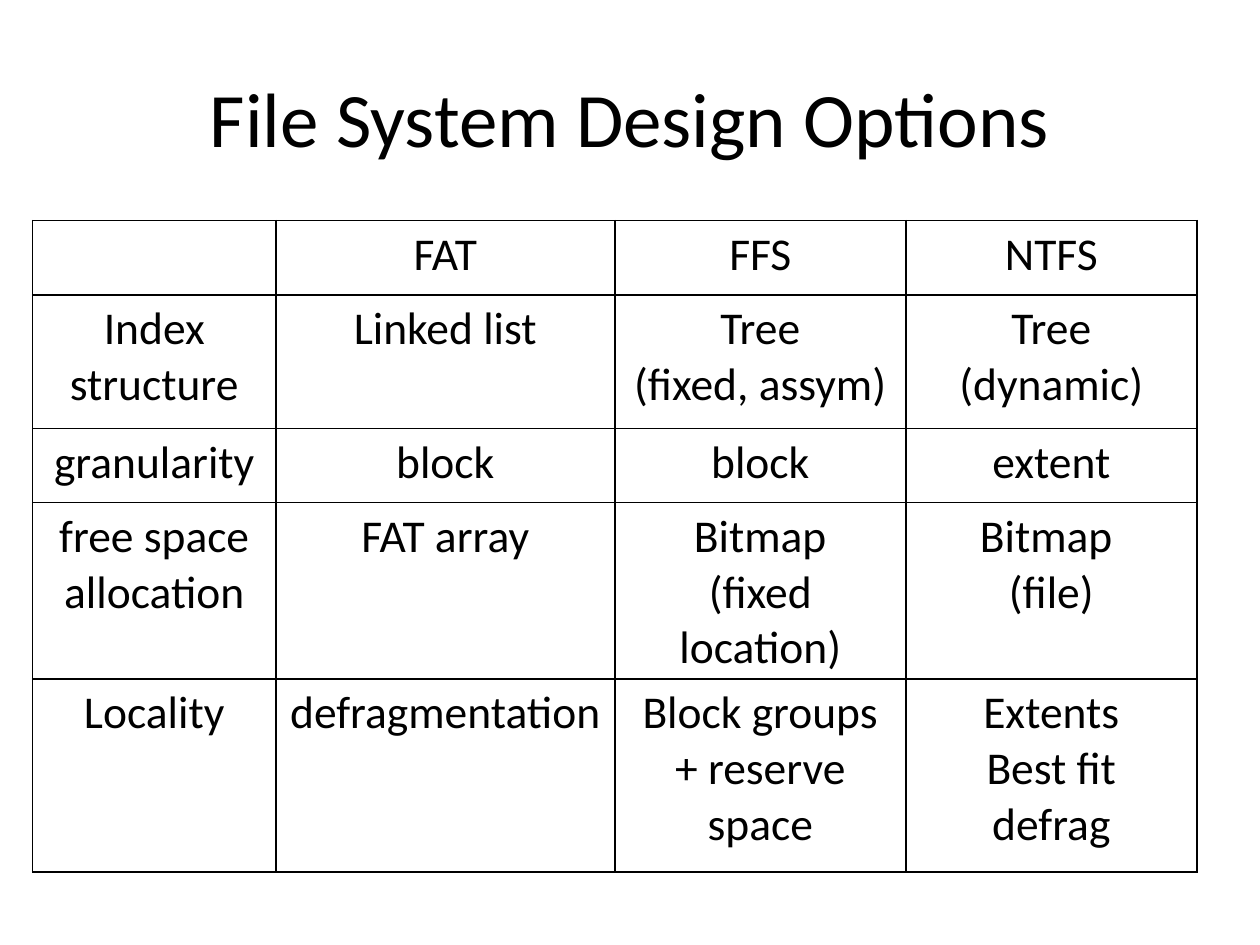
import pptx
import pptx.dml.color
import pptx.enum.text
import pptx.oxml
import pptx.oxml.ns
import pptx.util
from dataclasses import dataclass

Inches = pptx.util.Inches
Pt = pptx.util.Pt


@dataclass(frozen=True)
class Theme:
    font: str = "Calibri"
    ink: str = "000000"
    paper: str = "FFFFFF"
    title_size: int = 44
    cell_size: int = 26
    border: int = 1


THEME = Theme()

COLUMN_WIDTHS = [1.93, 2.69, 2.31, 2.31]
ROW_HEIGHTS = [0.59, 1.06, 0.59, 1.06, 1.53]

# Each line break starts a new paragraph
OPTIONS = [
    ["", "FAT", "FFS", "NTFS"],
    ["Index structure", "Linked list", "Tree\n(fixed, assym)", "Tree\n(dynamic)"],
    ["granularity", "block", "block", "extent"],
    ["free space\nallocation", "FAT array", "Bitmap\n(fixed location)", "Bitmap \n(file)"],
    ["Locality", "defragmentation", "Block groups + reserve space",
     "Extents\nBest fit\ndefrag"],
]


def rgb(value):
    return pptx.dml.color.RGBColor.from_string(value)


def write_text(tf, text, *, size, color=THEME.ink, font=THEME.font,
               align=pptx.enum.text.PP_ALIGN.CENTER):
    tf.word_wrap = True
    for i, line in enumerate(text.split("\n")):
        p = tf.paragraphs[0] if i == 0 else tf.add_paragraph()
        p.alignment = align
        r = p.add_run()
        r.text = line
        r.font.name = font
        r.font.size = Pt(size)
        r.font.color.rgb = rgb(color)


def add_title(s, text):
    sp = s.shapes.add_textbox(Inches(0.5), Inches(0.3), Inches(9), Inches(1.25))
    tf = sp.text_frame
    write_text(tf, text, size=THEME.title_size)
    tf.vertical_anchor = pptx.enum.text.MSO_ANCHOR.MIDDLE


def set_borders(cell):
    tc_pr = cell._tc.get_or_add_tcPr()
    for i, side in enumerate(("lnL", "lnR", "lnT", "lnB")):
        # Border lines must come before the cell fill
        tc_pr.insert(i, pptx.oxml.parse_xml(
            f'<a:{side} {pptx.oxml.ns.nsdecls("a")} w="{Pt(THEME.border)}">'
            f'<a:solidFill><a:srgbClr val="{THEME.ink}"/></a:solidFill></a:{side}>'))


def add_options_table(s, rows):
    frame = s.shapes.add_table(
        len(rows), len(COLUMN_WIDTHS), Inches(0.26), Inches(1.75),
        Inches(sum(COLUMN_WIDTHS)), Inches(sum(ROW_HEIGHTS)))
    table = frame.table
    table.first_row = False
    table.horz_banding = False
    for column, width in zip(table.columns, COLUMN_WIDTHS):
        column.width = Inches(width)
    for row, height, texts in zip(table.rows, ROW_HEIGHTS, rows):
        row.height = Inches(height)
        for cell, text in zip(row.cells, texts):
            cell.fill.solid()
            cell.fill.fore_color.rgb = rgb(THEME.paper)
            set_borders(cell)
            if text:
                write_text(cell.text_frame, text, size=THEME.cell_size)


def main():
    # Slide
    prs = pptx.Presentation()
    prs.slide_width = Inches(10)
    prs.slide_height = Inches(7.5)
    s = prs.slides.add_slide(prs.slide_layouts[6])

    # Content
    add_title(s, "File System Design Options")
    add_options_table(s, OPTIONS)

    prs.save("out.pptx")


if __name__ == "__main__":
    main()
